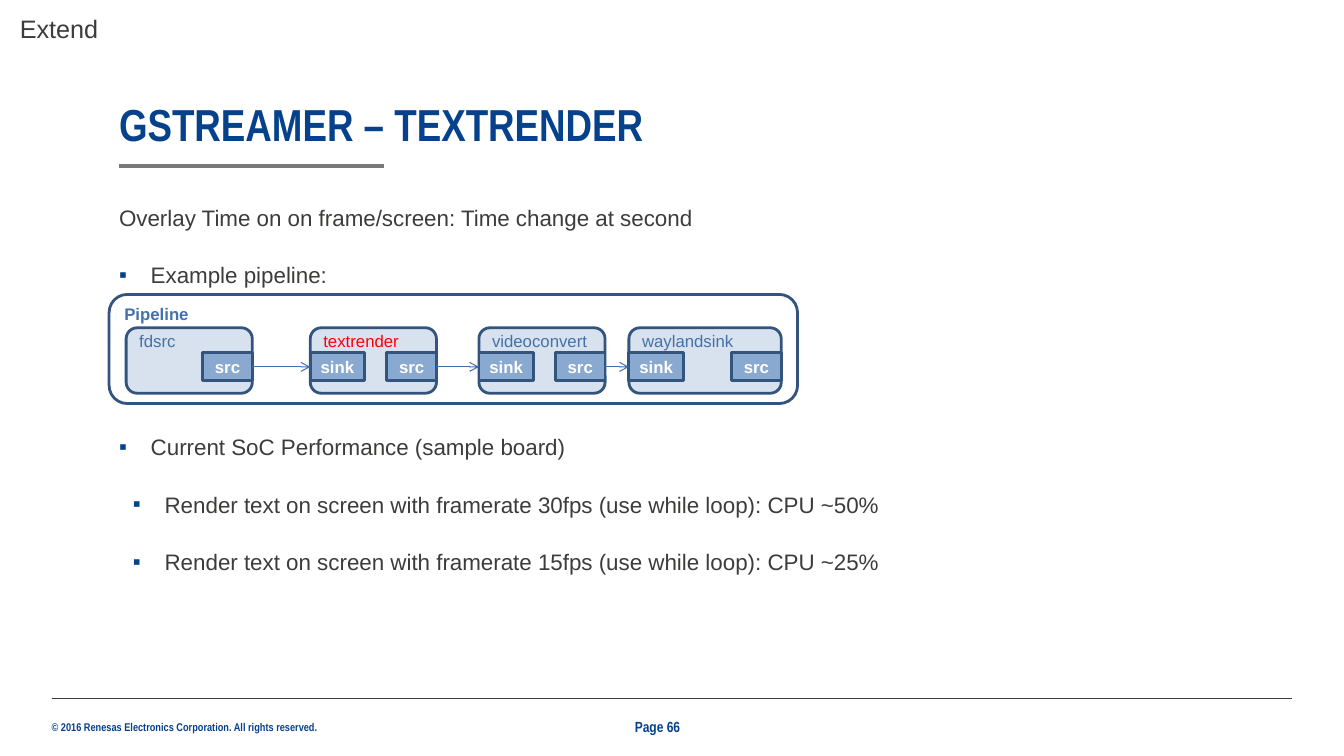
import pptx
import pptx.dml.color
import pptx.enum.shapes
import pptx.enum.text
import pptx.oxml
import pptx.oxml.ns
import pptx.util

Cm, Pt = pptx.util.Cm, pptx.util.Pt
SHAPES = pptx.enum.shapes.MSO_SHAPE
ANCHOR = pptx.enum.text.MSO_ANCHOR
ALIGN = pptx.enum.text.PP_ALIGN

COLOURS = {
    "navy": "06418C",
    "body": "3C3C3B",
    "rule": "797979",
    "outline": "32547D",
    "block": "D8E2EF",
    "pin": "8AA9D0",
    "label": "4471A9",
    "arrow": "406EA8",
    "red": "FF0000",
    "white": "FFFFFF",
}


def colour(name):
    return pptx.dml.color.RGBColor.from_string(COLOURS[name])


def add_xml(parent, tag, content=""):
    namespace = pptx.oxml.ns.nsdecls("a")
    parent.append(pptx.oxml.parse_xml(f"<a:{tag} {namespace}{content}"))


class Painter:
    """Holds the style and the current slide."""

    def __init__(self, page, font="Arial", heading_font="Arial Narrow"):
        self.page = page
        self.font = font
        self.heading_font = heading_font

    def style(self, para, size, tint, bold=False, font=None):
        for span in para.runs:
            span.font.name = font or self.font
            span.font.size = Pt(size)
            span.font.bold = bold
            span.font.color.rgb = colour(tint)

    def frame(self, shape, insets, anchor, wrap=True):
        frame = shape.text_frame
        frame.word_wrap = wrap
        frame.vertical_anchor = anchor
        frame.margin_left = frame.margin_right = Cm(insets[0])
        frame.margin_top = frame.margin_bottom = Cm(insets[1])
        return frame

    def text(self, place, words, size, tint, bold=False, font=None,
             insets=(0, 0), anchor=ANCHOR.TOP, wrap=True):
        box = self.page.shapes.add_textbox(*map(Cm, place))
        frame = self.frame(box, insets, anchor, wrap)
        frame.text = words
        for para in frame.paragraphs:
            self.style(para, size, tint, bold, font)
        return frame

    def heading(self, place, words, size, **options):
        return self.text(place, words, size, "navy", True, self.heading_font, **options)

    def bullet(self, para, margin):
        properties = para._p.get_or_add_pPr()
        properties.set("marL", str(Cm(margin)))
        properties.set("indent", str(Cm(-0.8)))
        add_xml(properties, "buClr", f'><a:srgbClr val="{COLOURS["navy"]}"/></a:buClr>')
        add_xml(properties, "buFont", ' typeface="Arial"/>')
        add_xml(properties, "buChar", ' char="▪"/>')

    def shape(self, kind, place, words, fill, tint, bold=False,
              insets=(0.25, 0), anchor=ANCHOR.TOP, align=ALIGN.LEFT):
        shape = self.page.shapes.add_shape(kind, *map(Cm, place))
        shape.shadow.inherit = False
        if fill:
            shape.fill.solid()
            shape.fill.fore_color.rgb = colour(fill)
        else:
            shape.fill.background()
        shape.line.color.rgb = colour("outline")
        shape.line.width = Pt(2)
        frame = self.frame(shape, insets, anchor)
        frame.text = words
        para = frame.paragraphs[0]
        para.alignment = align
        self.style(para, 12, tint, bold)
        return shape

    def pin(self, left, width, words):
        return self.shape(SHAPES.RECTANGLE, (left, 8.89, width, 0.71), words, "pin",
                          "white", True, (0, 0), ANCHOR.MIDDLE, ALIGN.CENTER)

    def line(self, start, end, tint, width):
        line = self.page.shapes.add_connector(
            pptx.enum.shapes.MSO_CONNECTOR.STRAIGHT, *map(Cm, start + end))
        line.line.color.rgb = colour(tint)
        line.line.width = Pt(width)
        add_xml(line._element.spPr, "effectLst", "/>")
        return line

    def arrow(self, source, target):
        arrow = self.line((0, 0), (1, 1), "arrow", 0.75)
        arrow.begin_connect(source, 3)
        arrow.end_connect(target, 1)
        add_xml(arrow.line._get_or_add_ln(), "tailEnd", ' type="arrow"/>')


def main():
    deck = pptx.Presentation()
    deck.slide_width, deck.slide_height = Cm(33.87), Cm(19.05)
    painter = Painter(deck.slides.add_slide(deck.slide_layouts[6]))

    # Footer and rules
    painter.heading((1.3, 18.14, 6.81, 0.33),
                    "© 2016 Renesas Electronics Corporation. All rights reserved.",
                    8, wrap=False)
    painter.line((1.3, 17.6), (32.56, 17.6), "body", 0.5)
    painter.line((3, 4.19), (9.68, 4.19), "rule", 3)

    # Title and page number
    title = painter.heading((3, 2.59, 23.67, 1.22), "GSTREAMER – TEXTRENDER", 32,
                            anchor=ANCHOR.BOTTOM)
    title.paragraphs[0].line_spacing = 0.9
    painter.heading((16, 18.08, 1.85, 0.46), "Page 66", 10.5, anchor=ANCHOR.MIDDLE)

    # Body: words, level (0 plain, 1 and 2 bulleted), space after
    items = [
        ("Overlay Time on on frame/screen: Time change at second", 0, 18),
        ("Example pipeline:", 1, 100),
        ("Current SoC Performance (sample board)", 1, 18),
        ("Render text on screen with framerate 30fps (use while loop): CPU ~50%", 2, 18),
        ("Render text on screen with framerate 15fps (use while loop): CPU ~25%", 2, 18),
    ]
    body = painter.text((3, 5, 25, 9.6), "\n".join(item[0] for item in items), 16, "body")
    for para, (_, level, space) in zip(body.paragraphs, items):
        para.line_spacing = 1.2
        para.space_after = Pt(space)
        if level:
            para.level = level - 1
            painter.bullet(para, {1: 0.8, 2: 1.15}[level])

    painter.text((0.25, 0.2, 2.51, 1.02), "Extend", 18, "body",
                 insets=(0.25, 0.13), wrap=False)

    # Pipeline: name, left, width, label colour
    painter.shape(SHAPES.ROUNDED_RECTANGLE, (2.75, 7.42, 17.35, 2.75), "Pipeline",
                  None, "label", True, (0.25, 0.1))
    blocks = [
        ("fdsrc", 3.18, 3.18, "label"),
        ("textrender", 7.82, 3.18, "red"),
        ("videoconvert", 12.07, 3.18, "label"),
        ("waylandsink", 15.85, 3.84, "label"),
    ]
    source_width, sink_width = 1.25, 1.37
    links = []
    previous = None
    for name, left, width, tint in blocks:
        painter.shape(SHAPES.ROUNDED_RECTANGLE, (left, 8.26, width, 1.65), name,
                      "block", tint)
        source = painter.pin(left + width - source_width, source_width, "src")
        if previous:
            links.append((previous, painter.pin(left, sink_width, "sink")))
        previous = source
    for source, sink in links:
        painter.arrow(source, sink)

    deck.save("out.pptx")


if __name__ == "__main__":
    main()
